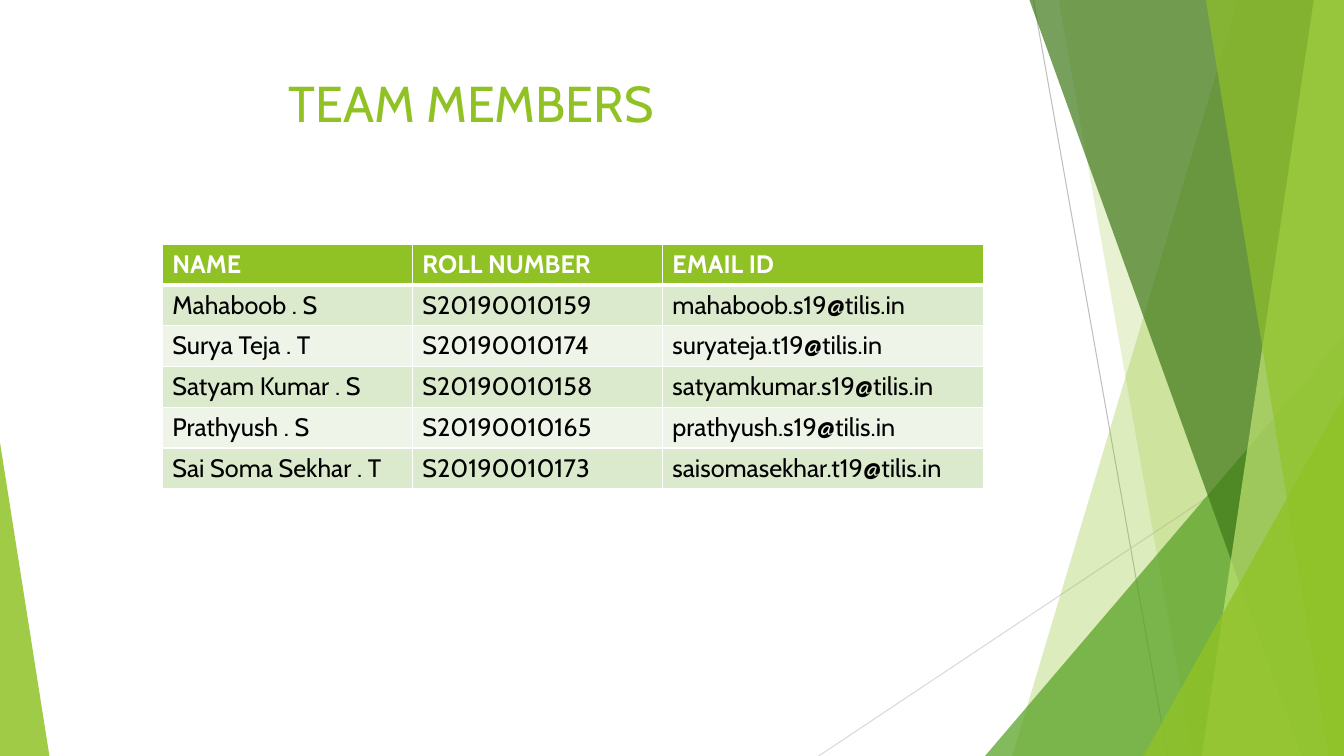
from lxml.etree import SubElement
from pptx import Presentation
from pptx.dml.color import RGBColor
from pptx.enum.shapes import MSO_CONNECTOR as Connector, MSO_SHAPE as Preset
from pptx.enum.text import MSO_ANCHOR as Anchor
from pptx.oxml.ns import qn
from pptx.util import Inches, Pt

WIDTH, HEIGHT = 13.33, 7.5
FONT = "Cabin"
WHITE = RGBColor(0xFF, 0xFF, 0xFF)
BLACK = RGBColor(0x00, 0x00, 0x00)
LIME = RGBColor(0x90, 0xC2, 0x26)
PALE_LIME = RGBColor(0xC0, 0xE4, 0x74)
GREEN = RGBColor(0x54, 0xA0, 0x21)
DARK_GREEN = RGBColor(0x3F, 0x78, 0x19)
BAND_DARK = RGBColor(0xDB, 0xE9, 0xCD)
BAND_LIGHT = RGBColor(0xEE, 0xF4, 0xE8)
GRAY = RGBColor(0xBF, 0xBF, 0xBF)
LIGHT_GRAY = RGBColor(0xD9, 0xD9, 0xD9)

# Content
TITLE = "TEAM MEMBERS"
MEMBERS = [
    ("NAME", "ROLL NUMBER", "EMAIL ID"),
    ("Mahaboob . S", "S20190010159", "mahaboob.s19@tilis.in"),
    ("Surya Teja . T", "S20190010174", "suryateja.t19@tilis.in"),
    ("Satyam Kumar . S", "S20190010158", "satyamkumar.s19@tilis.in"),
    ("Prathyush . S", "S20190010165", "prathyush.s19@tilis.in"),
    ("Sai Soma Sekhar . T", "S20190010173", "saisomasekhar.t19@tilis.in"),
]
COLUMN_WIDTHS = (2.48, 2.48, 3.19)
ROW_HEIGHT = 0.405

# Decoration: lines as start, end, colour
RAYS = [
    ((10.25, 0), (11.58, HEIGHT), GRAY),
    ((WIDTH, 4.03), (8.12, HEIGHT), LIGHT_GRAY),
]
# Bands reach the right edge: top-left x, bottom-left x, colour, opacity %
# Triangles stand on the bottom edge: left, top, width, apex, colour, opacity %
FACETS = [
    ("band", (12.28, 10.04), LIME, 30),
    ("band", (10.5, 11.83), LIME, 20),
    ("triangle", (9.77, 3.33, 3.56, 1), GREEN, 72),
    ("band", (10.21, 12.91), DARK_GREEN, 70),
    ("band", (13.03, 11.92), PALE_LIME, 70),
    ("band", (11.96, 13.18), LIME, 65),
    ("triangle", (11.34, 3.93, 1.99, 1), LIME, 80),
    ("triangle", (0, 4.39, 0.49, 0), LIME, 85),
]


def add_ray(slide, start, end, color):
    points = [Inches(value) for value in start + end]
    ray = slide.shapes.add_connector(Connector.STRAIGHT, *points)
    ray.line.color.rgb = color
    ray.line.width = Pt(0.75)
    SubElement(ray._element.spPr, qn("a:effectLst"))


def add_band(slide, top_x, bottom_x):
    corners = [(top_x, 0), (WIDTH, 0), (WIDTH, HEIGHT), (bottom_x, HEIGHT)]
    points = [(Inches(x), Inches(y)) for x, y in corners]
    builder = slide.shapes.build_freeform(*points[0])
    builder.add_line_segments(points[1:], close=True)
    return builder.convert_to_shape()


def add_triangle(slide, left, top, width, apex):
    box = [Inches(value) for value in (left, top, width, HEIGHT - top)]
    triangle = slide.shapes.add_shape(Preset.ISOSCELES_TRIANGLE, *box)
    triangle.adjustments[0] = apex
    return triangle


def style_facet(shape, color, opacity):
    shape.shadow.inherit = False
    shape.line.fill.background()
    shape.fill.solid()
    shape.fill.fore_color.rgb = color
    color_element = shape._element.spPr.find(qn("a:solidFill"))[0]
    SubElement(color_element, qn("a:alpha"), val=str(opacity * 1000))


def write(text_frame, text, size, color, bold=False):
    run = text_frame.paragraphs[0].add_run()
    run.text = text
    run.font.color.rgb = color
    for name, value in {"name": FONT, "size": Pt(size), "bold": bold}.items():
        setattr(run.font, name, value)


def add_borders(cell, widths):
    properties = cell._tc.get_or_add_tcPr()
    for side, width in widths.items():
        border = SubElement(properties, qn(f"a:ln{side}"), w=str(Pt(width)))
        fill = SubElement(border, qn("a:solidFill"))
        SubElement(fill, qn("a:srgbClr"), val=str(WHITE))


def add_title(slide):
    box = slide.shapes.add_textbox(Inches(0.74), Inches(0.67), Inches(9.4), Inches(1.44))
    frame = box.text_frame
    settings = {"word_wrap": True, "vertical_anchor": Anchor.TOP, "margin_left": Inches(2.12)}
    for name, value in settings.items():
        setattr(frame, name, value)
    write(frame, TITLE, 36, LIME)


def add_members(slide):
    table = slide.shapes.add_table(
        len(MEMBERS), len(COLUMN_WIDTHS), Inches(1.61), Inches(2.42),
        Inches(sum(COLUMN_WIDTHS)), Inches(ROW_HEIGHT * len(MEMBERS))).table
    for column, width in zip(table.columns, COLUMN_WIDTHS):
        column.width = Inches(width)
    for row_index, member in enumerate(MEMBERS):
        table.rows[row_index].height = Inches(ROW_HEIGHT)
        header = row_index == 0
        band = BAND_DARK if row_index % 2 else BAND_LIGHT
        borders = {"L": 1, "R": 1, "T": 3 if row_index == 1 else 1, "B": 3 if header else 1}
        for column_index, text in enumerate(member):
            cell = table.cell(row_index, column_index)
            add_borders(cell, borders)
            cell.fill.solid()
            cell.fill.fore_color.rgb = LIME if header else band
            write(cell.text_frame, text, 18, WHITE if header else BLACK, header)


def main():
    presentation = Presentation()
    presentation.slide_width = Inches(WIDTH)
    presentation.slide_height = Inches(HEIGHT)
    slide = presentation.slides.add_slide(presentation.slide_layouts[6])

    # Background decoration, back to front
    for ray in RAYS:
        add_ray(slide, *ray)
    builders = {"band": add_band, "triangle": add_triangle}
    for kind, geometry, color, opacity in FACETS:
        style_facet(builders[kind](slide, *geometry), color, opacity)

    # Title and table
    add_title(slide)
    add_members(slide)
    presentation.save("out.pptx")


if __name__ == "__main__":
    main()
